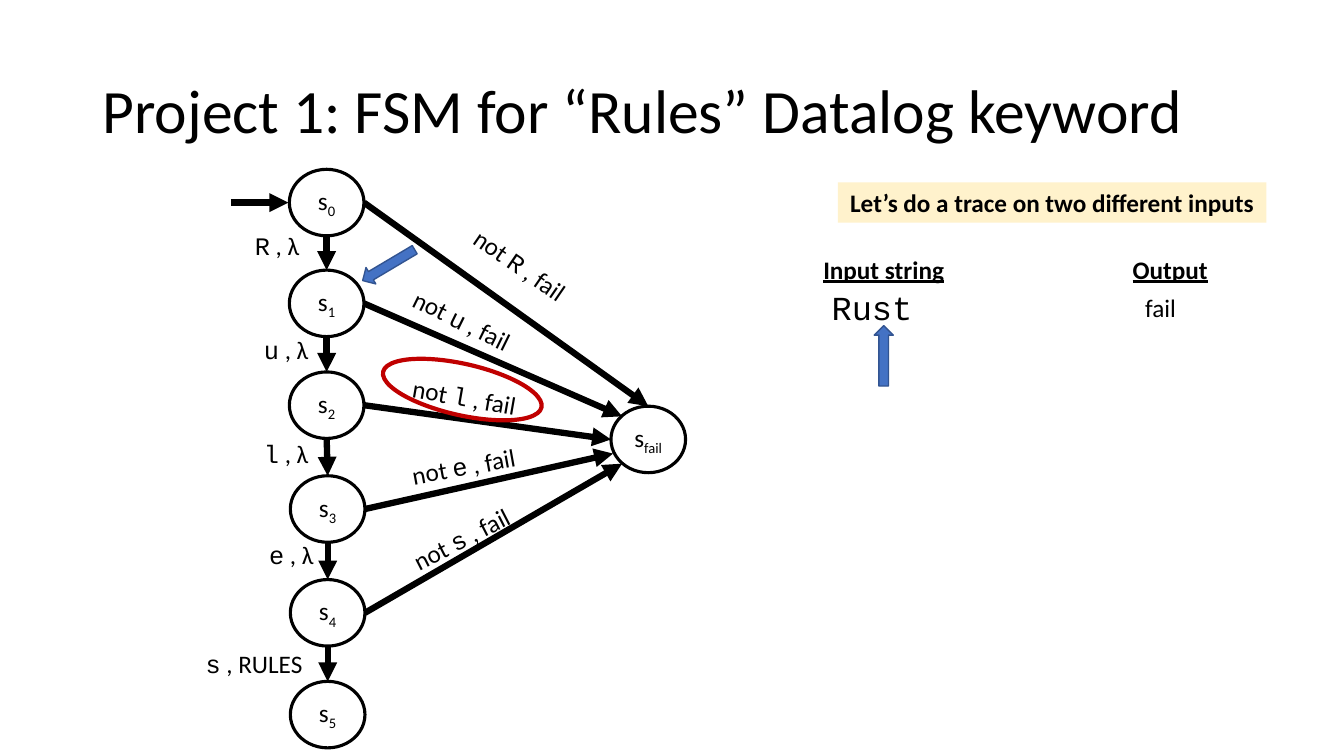
import pptx
import pptx.dml.color
import pptx.enum.shapes
import pptx.enum.text
import pptx.oxml
import pptx.oxml.ns
import pptx.util
from pptx.util import Inches

SHAPES = pptx.enum.shapes.MSO_SHAPE
ALIGN = pptx.enum.text.PP_ALIGN
ANCHOR = pptx.enum.text.MSO_ANCHOR
BODY, CODE = "Calibri", "Courier New"


def color(hex_string):
    return pptx.dml.color.RGBColor.from_string(hex_string)


def write(shape, runs, size=18, bold=None, underline=None, align=ALIGN.LEFT,
          anchor=ANCHOR.TOP, wrap=True):
    """Fill a shape with one paragraph of (text, font, baseline) runs."""
    frame = shape.text_frame
    frame.word_wrap = wrap
    frame.vertical_anchor = anchor
    paragraph = frame.paragraphs[0]
    paragraph.alignment = align
    for text, font_name, baseline in runs:
        run = paragraph.add_run()
        run.text = text
        run.font.name = font_name
        run.font.size = pptx.util.Pt(size)
        run.font.bold = bold
        run.font.underline = underline
        run.font.color.rgb = color("000000")
        if baseline:
            run.font._element.set("baseline", str(baseline))
    return paragraph


presentation = pptx.Presentation()
presentation.slide_width = Inches(13.33)
presentation.slide_height = Inches(7.5)
slide = presentation.slides.add_slide(presentation.slide_layouts[6])
shapes = slide.shapes

# Title
title = shapes.add_textbox(Inches(0.92), Inches(0.4), Inches(11.65), Inches(1.45))
paragraph = write(title, [("Project 1: FSM for “Rules” Datalog keyword", BODY, 0)],
                  size=44, anchor=ANCHOR.MIDDLE)
paragraph.line_spacing = 0.9

# States
STATE_WIDTH, STATE_HEIGHT = 0.74, 0.66
state_places = [("0", 2.87, 1.68), ("1", 2.87, 2.68), ("2", 2.87, 3.69),
                ("3", 2.88, 4.72), ("4", 2.88, 5.75), ("5", 2.88, 6.76),
                ("fail", 6.06, 4.03)]
states = {}
for name, left, top in state_places:
    state = shapes.add_shape(SHAPES.OVAL, Inches(left), Inches(top),
                             Inches(STATE_WIDTH), Inches(STATE_HEIGHT))
    state.shadow.inherit = False
    state.fill.background()
    state.line.color.rgb = color("000000")
    state.line.width = pptx.util.Pt(2.25)
    write(state, [("s", BODY, 0), (name, BODY, -25000)],
          align=ALIGN.CENTER, anchor=ANCHOR.MIDDLE, wrap=False)
    states[name] = state

# Transitions: start, state to next state, state to fail
arrows = [(2.29, 2.01, 2.86, 2.01, None)]
for (name, left, top), (next_name, next_left, next_top) in zip(state_places[:5], state_places[1:6]):
    arrows.append((left + STATE_WIDTH / 2, top + STATE_HEIGHT,
                   next_left + STATE_WIDTH / 2, next_top, next_name))
fail_ends = [(6.43, 4.03, "fail"), (6.17, 4.13, None), (6.06, 4.36, None),
             (6.08, 4.5, None), (6.17, 4.6, None)]
for (name, left, top), fail_end in zip(state_places, fail_ends):
    arrows.append((left + STATE_WIDTH, top + STATE_HEIGHT / 2, *fail_end))

for x1, y1, x2, y2, top_of in arrows:
    arrow = shapes.add_connector(pptx.enum.shapes.MSO_CONNECTOR.STRAIGHT,
                                 Inches(x1), Inches(y1), Inches(x2), Inches(y2))
    if top_of:
        arrow.end_connect(states[top_of], 0)
    arrow.line.color.rgb = color("000000")
    arrow.line.width = pptx.util.Pt(4.5)
    line = arrow.line._get_or_add_ln()
    line.append(pptx.oxml.parse_xml(
        f'<a:tailEnd {pptx.oxml.ns.nsdecls("a")} type="triangle"/>'))
    arrow._element.spPr.append(pptx.oxml.parse_xml(
        f'<a:effectLst {pptx.oxml.ns.nsdecls("a")}/>'))

# Labels of failing transitions
for letter, left, top, rotation in [("R", 4.53, 2.47, 34.6), ("u", 3.96, 3.01, 26.3),
                                    ("l", 3.99, 3.75, 9.9), ("e", 3.98, 4.41, 349.7),
                                    ("s", 3.95, 5.11, 332.7)]:
    label = shapes.add_textbox(Inches(left), Inches(top), Inches(1.38), Inches(0.4))
    label.rotation = rotation
    write(label, [("not ", BODY, 0), (letter, CODE, 0), (" , fail", BODY, 0)])

# Labels of accepting transitions
for letter, output, left, top in [("R", "λ", 2.43, 2.24), ("u", "λ", 2.52, 3.27),
                                  ("l", "λ", 2.52, 4.3), ("e", "λ", 2.57, 5.3),
                                  ("s", "RULES", 1.94, 6.38)]:
    label = shapes.add_textbox(Inches(left), Inches(top), Inches(1.47), Inches(0.4))
    write(label, [(letter, CODE, 0), (f" , {output}", BODY, 0)])

# Trace banner
banner = shapes.add_shape(SHAPES.RECTANGLE, Inches(8.31), Inches(1.81),
                          Inches(4.25), Inches(0.4))
banner.shadow.inherit = False
banner.fill.solid()
banner.fill.fore_color.rgb = color("FFF2CC")
banner.line.fill.background()
write(banner, [("Let’s do a trace on two different inputs", BODY, 0)],
      bold=True, align=ALIGN.CENTER, wrap=False)

# Trace headings and values
for text, left, width in [("Input string", 8.06, 1.41), ("Output", 11.13, 0.95)]:
    heading = shapes.add_textbox(Inches(left), Inches(2.47), Inches(width), Inches(0.4))
    write(heading, [(text, BODY, 0)], bold=True, underline=True,
          align=ALIGN.CENTER, wrap=False)
for text, font_name, size, left, top, height in [("Rust", CODE, 24, 8.15, 2.8, 0.5),
                                                 ("fail", BODY, 18, 11.26, 2.85, 0.4)]:
    value = shapes.add_textbox(Inches(left), Inches(top), Inches(1.47), Inches(height))
    write(value, [(text, font_name, 0)], size=size)

# Pointers to the current letter and the current state
for left, top, rotation in [(8.67, 3.23, 0), (3.76, 2.33, 239.3)]:
    pointer = shapes.add_shape(SHAPES.UP_ARROW, Inches(left), Inches(top),
                               Inches(0.19), Inches(0.6))
    pointer.rotation = rotation
    pointer.shadow.inherit = False
    pointer.fill.solid()
    pointer.fill.fore_color.rgb = color("4472C4")
    pointer.line.color.rgb = color("325491")
    pointer.line.width = pptx.util.Pt(1)

# Ring around the transition taken
ring = shapes.add_shape(SHAPES.OVAL, Inches(3.78), Inches(3.61), Inches(1.61), Inches(0.51))
ring.rotation = 12.7
ring.shadow.inherit = False
ring.fill.background()
ring.line.color.rgb = color("C00000")
ring.line.width = pptx.util.Pt(3)

presentation.save("out.pptx")
